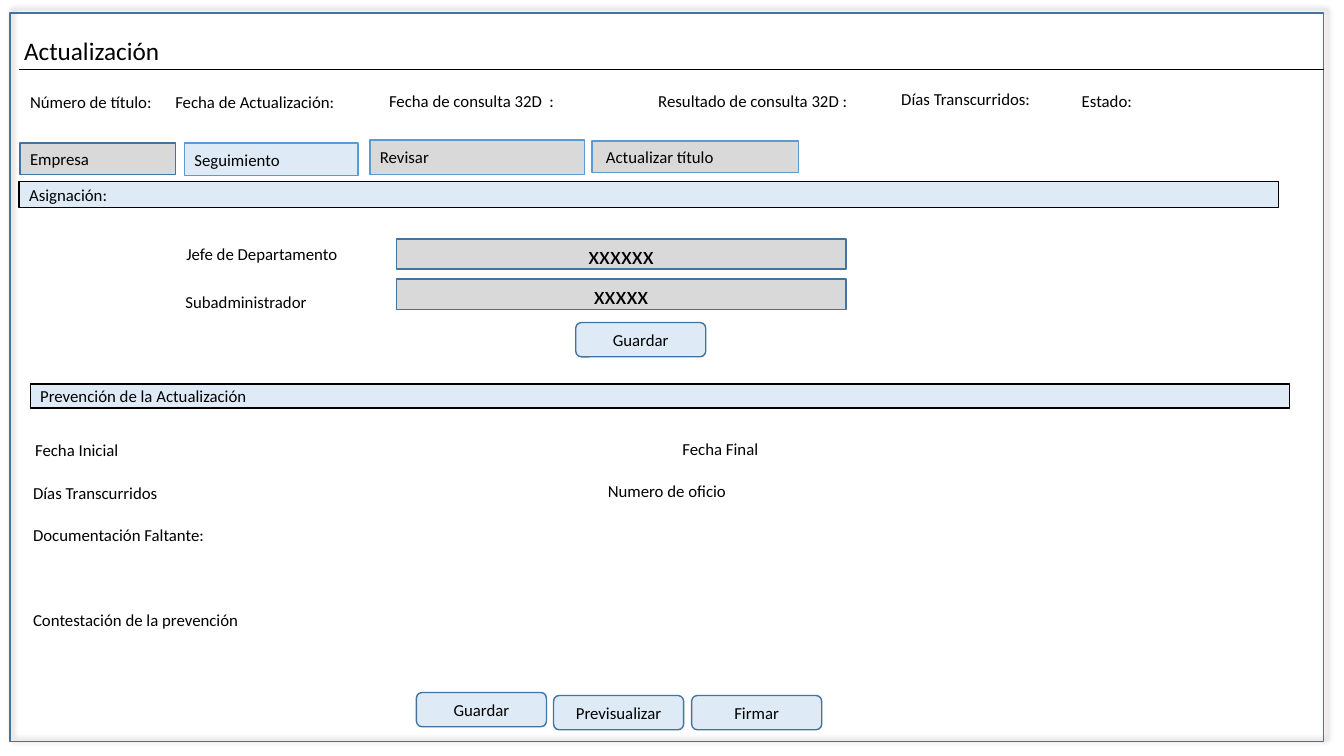
from lxml.etree import SubElement
from pptx import Presentation
from pptx.dml.color import RGBColor
from pptx.enum.shapes import MSO_CONNECTOR, MSO_SHAPE
from pptx.enum.text import MSO_ANCHOR, MSO_AUTO_SIZE, PP_ALIGN
from pptx.oxml import parse_xml
from pptx.oxml.ns import nsdecls, qn
from pptx.util import Inches, Pt

BLACK, GRAY, PALE = "000000", "D9D9D9", "DEEBF7"
STEEL, BLUE = "43739E", "5B9BD5"


def color(value):
    return RGBColor.from_string(value)


def add_text(text, left, top, width, height=0.3, size=12, fill=None, line=STEEL,
             shape=MSO_SHAPE.RECTANGLE, align=PP_ALIGN.LEFT, inset=0.1):
    """Add a plain label, or a filled and outlined field when fill is given."""
    place = [Inches(length) for length in (left, top, width, height)]
    if fill:
        box = page.shapes.add_shape(shape, *place)
        box.shadow.inherit = False
        box.fill.solid()
        box.fill.fore_color.rgb = color(fill)
        box.line.color.rgb = color(line)
        box.line.width = Pt(1)
        box.text_frame.vertical_anchor = MSO_ANCHOR.MIDDLE
    else:
        box = page.shapes.add_textbox(*place)
        box.text_frame.auto_size = MSO_AUTO_SIZE.SHAPE_TO_FIT_TEXT
    frame = box.text_frame
    frame.word_wrap = True
    frame.margin_left = Inches(inset)
    para = frame.paragraphs[0]
    para.alignment = align
    span = para.add_run()
    span.text = text
    span.font.name = "Calibri"
    span.font.size = Pt(size)
    span.font.color.rgb = color(BLACK)


deck = Presentation()
deck.slide_width, deck.slide_height = Inches(13.33), Inches(7.5)
page = deck.slides.add_slide(deck.slide_layouts[6])

# Window frame with a soft shadow
window = page.shapes.add_shape(MSO_SHAPE.RECTANGLE, Inches(0.1), Inches(0.13),
                               Inches(13.03), Inches(7.23))
window.fill.background()
window.line.color.rgb = color(STEEL)
window.line.width = Pt(1)
window.shadow.inherit = False
effects = window._element.spPr.find(qn("a:effectLst"))
effects.append(parse_xml(
    f'<a:outerShdw {nsdecls("a")} blurRad="{Pt(4)}" dist="{Pt(3)}" dir="18900000" '
    'algn="bl" rotWithShape="0"><a:srgbClr val="000000"><a:alpha val="40000"/>'
    '</a:srgbClr></a:outerShdw>'))

# Title and its rule
add_text("Actualización", 0.14, 0.3, 5.11, height=0.4, size=18)
rule = page.shapes.add_connector(MSO_CONNECTOR.STRAIGHT, Inches(0.19), Inches(0.69),
                                 Inches(13.13), Inches(0.69))
rule.line.color.rgb = color(BLACK)
rule.line.width = Pt(0.5)
SubElement(rule._element.spPr, qn("a:effectLst"))

# Labels: summary row, assignment, prevention
for text, left, top, width in [
    ("Número de título:", 0.2, 0.86, 1.69),
    ("Fecha de Actualización:", 1.64, 0.86, 2.12),
    ("Fecha de consulta 32D  :", 3.76, 0.85, 2.12),
    ("Resultado de consulta 32D :", 6.43, 0.85, 2.12),
    ("Días Transcurridos:", 8.84, 0.83, 2.12),
    ("Estado:", 10.63, 0.85, 2.12),
    ("Jefe de Departamento", 1.75, 2.37, 3.37),
    ("Subadministrador", 1.74, 2.85, 3.37),
    ("Fecha Inicial", 0.25, 4.31, 3.37),
    ("Fecha Final", 6.67, 4.3, 3.77),
    ("Días Transcurridos", 0.23, 4.74, 3.37),
    ("Numero de oficio", 5.93, 4.72, 3.37),
    ("Documentación Faltante:", 0.23, 5.16, 4),
    ("Contestación de la prevención", 0.23, 6, 4),
]:
    add_text(text, left, top, width)

# Tabs
for text, left, top, width, height, fill, line, inset in [
    ("Empresa", 0.2, 1.42, 1.54, 0.31, GRAY, STEEL, 0.1),
    ("Seguimiento", 1.83, 1.42, 1.72, 0.32, PALE, BLUE, 0.1),
    ("Revisar", 3.67, 1.39, 2.13, 0.34, GRAY, BLUE, 0.1),
    ("Actualizar título", 5.87, 1.4, 2.05, 0.31, GRAY, BLUE, 0.14),
]:
    add_text(text, left, top, width, height, fill=fill, line=line, inset=inset)

# Section bars
for text, left, top, height in [
    ("Asignación:", 0.19, 1.8, 0.26),
    ("Prevención de la Actualización", 0.3, 3.81, 0.24),
]:
    add_text(text, left, top, 12.49, height, fill=PALE, line=BLACK)

# Assignment fields
for text, top in [("xxxxxx", 2.37), ("xxxxx", 2.77)]:
    add_text(text, 3.93, top, 4.46, size=18, fill=GRAY, align=PP_ALIGN.CENTER)

# Buttons
for text, left, top in [
    ("Guardar", 5.71, 3.2),
    ("Guardar", 4.13, 6.87),
    ("Previsualizar", 5.49, 6.9),
    ("Firmar", 6.86, 6.9),
]:
    add_text(text, left, top, 1.29, 0.34, fill=PALE,
             shape=MSO_SHAPE.ROUNDED_RECTANGLE, align=PP_ALIGN.CENTER)

deck.save("out.pptx")
